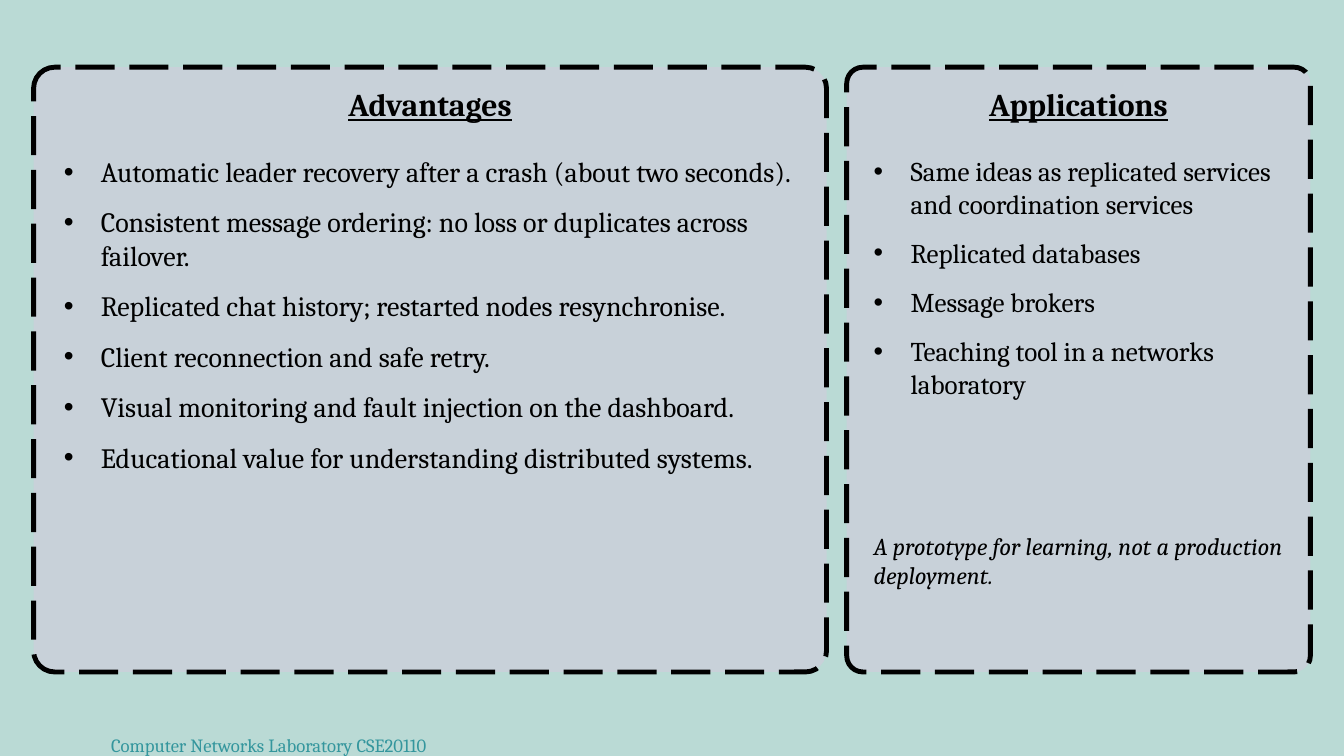
from lxml import etree
from pptx import Presentation
from pptx.dml.color import RGBColor
from pptx.enum import dml, shapes, text
from pptx.oxml.ns import qn
from pptx.util import Inches, Pt

COLORS = {"background": "BADAD5", "panel": "C8D1D9", "ink": "000000", "footer": "34969D"}
FONT = "Cambria"
INDENT = Inches(0.55)

ADVANTAGES = [
    "Automatic leader recovery after a crash (about two seconds).",
    "Consistent message ordering: no loss or duplicates across failover.",
    "Replicated chat history; restarted nodes resynchronise.",
    "Client reconnection and safe retry.",
    "Visual monitoring and fault injection on the dashboard.",
    "Educational value for understanding distributed systems.",
]
APPLICATIONS = [
    "Same ideas as replicated services and coordination services",
    "Replicated databases",
    "Message brokers",
    "Teaching tool in a networks laboratory",
]


def rgb(name):
    """Return the named palette colour."""
    return RGBColor.from_string(COLORS[name])


def add_bullet(p):
    """Give a paragraph a hanging round bullet."""
    pPr = p._p.get_or_add_pPr()
    pPr.set("marL", str(INDENT))
    pPr.set("indent", str(-INDENT))
    etree.SubElement(pPr, qn("a:buFont")).set("typeface", "Arial")
    etree.SubElement(pPr, qn("a:buChar")).set("char", "•")


def add_text(s, box, lines, size, color="ink", after=0, align=text.PP_ALIGN.LEFT,
             anchor=text.MSO_ANCHOR.TOP, bullets=False, bold=None, italic=None, underline=None):
    """Place paragraphs of one style in a box without margins."""
    tf = s.shapes.add_textbox(*map(Inches, box)).text_frame
    tf.word_wrap = True
    tf.auto_size = text.MSO_AUTO_SIZE.SHAPE_TO_FIT_TEXT
    tf.margin_left = tf.margin_top = tf.margin_right = tf.margin_bottom = 0
    tf.vertical_anchor = anchor
    tf.text = "\n".join(lines)
    for p in tf.paragraphs:
        p.alignment = align
        p.space_after = Pt(after)
        if bullets:
            add_bullet(p)
        for r in p.runs:
            r.font.name, r.font.size = FONT, Pt(size)
            r.font.bold, r.font.italic, r.font.underline = bold, italic, underline
            r.font.color.rgb = rgb(color)
    return tf


def add_panel(s, box, heading, items, size, margin, body_height):
    """Draw a dashed rounded panel with its heading and bullet list."""
    left, top, width, height = box
    sp = s.shapes.add_shape(shapes.MSO_SHAPE.ROUNDED_RECTANGLE, *map(Inches, box))
    sp.adjustments[0] = 0.035
    sp.shadow.inherit = False
    sp.fill.solid()
    sp.fill.fore_color.rgb = rgb("panel")
    sp.line.color.rgb = rgb("ink")
    sp.line.width = Pt(5.25)
    sp.line.dash_style = dml.MSO_LINE.LONG_DASH
    add_text(s, (left, top + 0.2, width, 0.7), [heading], 34, after=6,
             align=text.PP_ALIGN.CENTER, anchor=text.MSO_ANCHOR.MIDDLE, bold=True, underline=True)
    add_text(s, (left + margin, top + 1.3, width - 2 * margin + 0.1, body_height), items, size,
             after=18, bullets=True)


def add_footer(s, box):
    """Place the course name at the foot of the slide."""
    tf = add_text(s, box, ["Computer Networks Laboratory CSE20110"], 20, "footer",
                  align=text.PP_ALIGN.CENTER)
    tf.paragraphs[0].line_spacing = Pt(35)


def main():
    """Build and save the slide."""
    prs = Presentation()
    prs.slide_width, prs.slide_height = Inches(20), Inches(11.25)
    s = prs.slides.add_slide(prs.slide_layouts[6])
    s.background.fill.solid()
    s.background.fill.fore_color.rgb = rgb("background")
    add_footer(s, (0, 10.76, 8, 0.49))
    add_panel(s, (0.5, 1, 11.8, 9), "Advantages", ADVANTAGES, 30, 0.45, 7.5)
    add_panel(s, (12.6, 1, 6.9, 9), "Applications", APPLICATIONS, 29, 0.4, 5.2)
    add_text(s, (13, 7.9, 6.2, 1.9), ["A prototype for learning, not a production deployment."],
             26, after=6, italic=True)
    prs.save("out.pptx")


if __name__ == "__main__":
    main()
